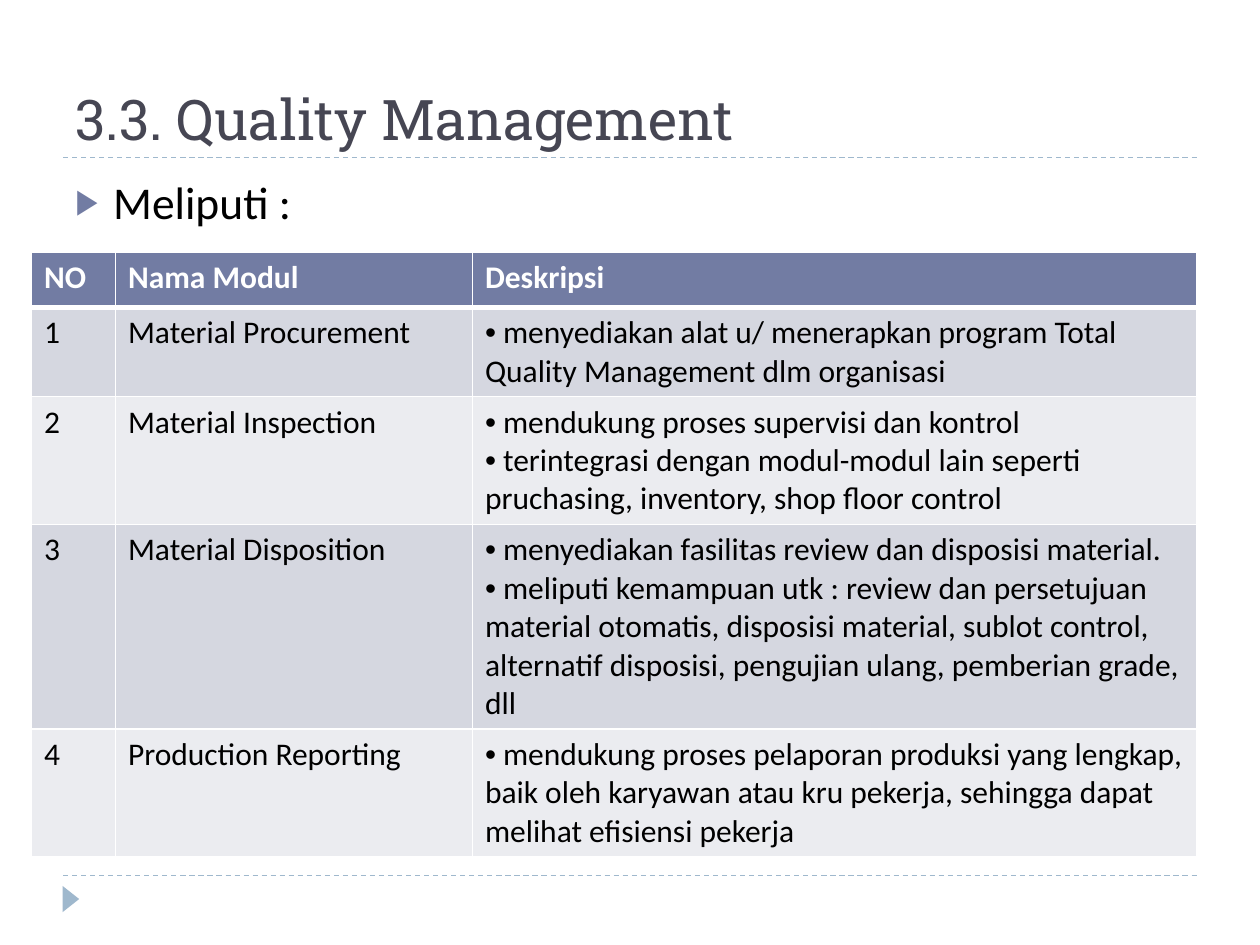
from dataclasses import dataclass

from lxml import etree
from pptx import Presentation
from pptx.dml.color import RGBColor
from pptx.enum.dml import MSO_LINE
from pptx.enum.shapes import MSO_CONNECTOR, MSO_SHAPE
from pptx.enum.text import MSO_ANCHOR
from pptx.oxml.ns import qn
from pptx.util import Pt


@dataclass(frozen=True)
class Theme:
    heading_font: str = "Roboto Slab"
    body_font: str = "Calibri"
    heading: str = "464653"
    text: str = "000000"
    white: str = "FFFFFF"
    accent: str = "727CA3"
    rule: str = "9FB8CD"
    bands: tuple = ("D5D7E0", "EBECF0")
    title_size: int = 32
    lead_size: int = 26
    table_size: int = 18


def add_xml(parent, tag, **attributes):
    return etree.SubElement(parent, qn(tag), attributes)


class SlideBuilder:
    def __init__(self, slide, theme):
        self.slide = slide
        self.theme = theme

    def add_text(self, paragraph, text, size, color, font=None, bold=False):
        run = paragraph.add_run()
        run.text = text
        run.font.name = font or self.theme.body_font
        run.font.size = Pt(size)
        run.font.bold = bold
        run.font.color.rgb = RGBColor.from_string(color)

    def bullet(self, paragraph, char, indent=0, color=None, percent=100):
        props = paragraph._p.get_or_add_pPr()
        props.set("marL", str(Pt(indent)))
        props.set("indent", str(-Pt(indent)))
        if color:
            add_xml(add_xml(props, "a:buClr"), "a:srgbClr", val=color)
        add_xml(props, "a:buSzPct", val=str(percent * 1000))
        add_xml(props, "a:buFont", typeface="Arial")
        add_xml(props, "a:buChar", char=char)

    def text_box(self, left, top, width, height, anchor=MSO_ANCHOR.TOP):
        box = self.slide.shapes.add_textbox(Pt(left), Pt(top), Pt(width), Pt(height))
        frame = box.text_frame
        frame.word_wrap = True
        frame.vertical_anchor = anchor
        return frame.paragraphs[0]

    def dashed_rule(self, left, right, y):
        line = self.slide.shapes.add_connector(
            MSO_CONNECTOR.STRAIGHT, Pt(left), Pt(y), Pt(right), Pt(y))
        line.line.color.rgb = RGBColor.from_string(self.theme.rule)
        line.line.width = Pt(0.75)
        line.line.dash_style = MSO_LINE.DASH
        add_xml(line._element.spPr, "a:effectLst")

    def marker(self, left, top, width, height):
        shape = self.slide.shapes.add_shape(
            MSO_SHAPE.ISOSCELES_TRIANGLE, Pt(left), Pt(top), Pt(width), Pt(height))
        shape.rotation = 90
        shape.shadow.inherit = False
        shape.fill.solid()
        shape.fill.fore_color.rgb = RGBColor.from_string(self.theme.rule)
        shape.line.fill.background()

    def style_cell(self, cell, fill, bottom):
        props = cell._tc.get_or_add_tcPr()
        for side, width in (("L", 1), ("R", 1), ("T", 1), ("B", bottom)):
            border = add_xml(props, f"a:ln{side}", w=str(Pt(width)))
            add_xml(add_xml(border, "a:solidFill"), "a:srgbClr", val=self.theme.white)
        cell.fill.solid()
        cell.fill.fore_color.rgb = RGBColor.from_string(fill)

    def table(self, left, top, widths, heights, rows):
        theme = self.theme
        table = self.slide.shapes.add_table(
            len(rows), len(widths), Pt(left), Pt(top),
            Pt(sum(widths)), Pt(sum(heights))).table
        for column, width in zip(table.columns, widths):
            column.width = Pt(width)
        for r, (values, height) in enumerate(zip(rows, heights)):
            table.rows[r].height = Pt(height)
            header = r == 0
            fill = theme.accent if header else theme.bands[(r - 1) % 2]
            color = theme.white if header else theme.text
            for c, value in enumerate(values):
                cell = table.cell(r, c)
                self.style_cell(cell, fill, 3 if header else 1)
                bulleted = isinstance(value, list)
                for i, text in enumerate(value if bulleted else [value]):
                    frame = cell.text_frame
                    paragraph = frame.add_paragraph() if i else frame.paragraphs[0]
                    if bulleted:
                        self.bullet(paragraph, "•")
                        text = " " + text
                    self.add_text(paragraph, text, theme.table_size, color, bold=header)


MODULES = [
    ("NO", "Nama Modul", "Deskripsi"),
    ("1", "Material Procurement", [
        "menyediakan alat u/ menerapkan program Total Quality Management dlm organisasi"]),
    ("2", "Material Inspection", [
        "mendukung proses supervisi dan kontrol",
        "terintegrasi dengan modul-modul lain seperti pruchasing, inventory, "
        "shop floor control"]),
    ("3", "Material Disposition", [
        "menyediakan fasilitas review dan disposisi material.",
        "meliputi kemampuan utk : review dan persetujuan material otomatis, "
        "disposisi material, sublot control, alternatif disposisi, "
        "pengujian ulang, pemberian grade, dll"]),
    ("4", "Production Reporting", [
        "mendukung proses pelaporan produksi yang lengkap, baik oleh karyawan "
        "atau kru pekerja, sehingga dapat melihat efisiensi pekerja"]),
]


def main():
    theme = Theme()
    deck = Presentation()
    deck.slide_width, deck.slide_height = Pt(720), Pt(540)
    page = SlideBuilder(deck.slides.add_slide(deck.slide_layouts[6]), theme)

    for y in (500.4, 90):
        page.dashed_rule(36, 684, y)
    page.marker(33, 509, 15, 9.5)

    title = page.text_box(36, 12, 648, 78, MSO_ANCHOR.BOTTOM)
    page.add_text(title, "3.3. Quality Management", theme.title_size,
                  theme.heading, theme.heading_font)

    lead = page.text_box(36, 96, 648, 44)
    lead.space_before = Pt(6)
    page.bullet(lead, "▶", 21.6, theme.accent, 76)
    page.add_text(lead, "Meliputi :", theme.lead_size, theme.text)

    page.table(18, 144, (48, 204, 414), (31.7, 51, 73, 117, 73), MODULES)
    deck.save("out.pptx")


main()
